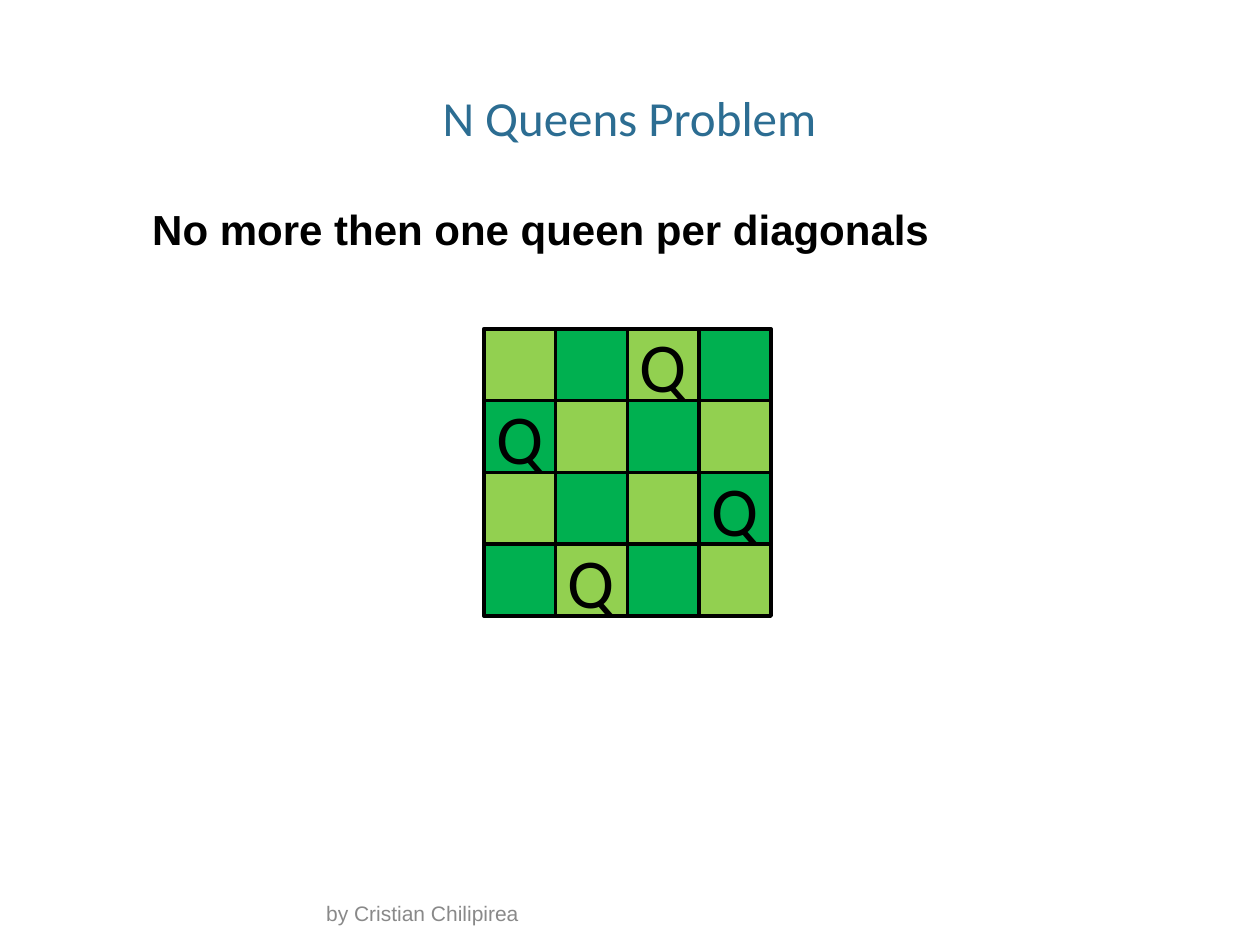
import pptx
import pptx.util
import pptx.dml.color
import pptx.enum.shapes
import pptx.enum.text

TITLE = "N Queens Problem"
RULE = "No more then one queen per diagonals"
AUTHOR = "by Cristian Chilipirea"
BOARD = ["..Q.", "Q...", "...Q", ".Q.."]
COLORS = {"title": "2C6D92", "light": "92D050", "dark": "00B050",
          "black": "000000", "gray": "898989"}
LEFT, TOP, CELL = 3.84, 2.61, 0.57

Inches, Pt = pptx.util.Inches, pptx.util.Pt
ALIGN = pptx.enum.text.PP_ALIGN
ANCHOR = pptx.enum.text.MSO_ANCHOR


def color(name):
    """Return a named colour as RGB."""
    return pptx.dml.color.RGBColor.from_string(COLORS[name])


def write(shape, text, size, font, tint, align, anchor, bold=False):
    """Put one formatted line of text into a shape."""
    frame = shape.text_frame
    frame.text = text
    frame.vertical_anchor = anchor
    line = frame.paragraphs[0]
    line.alignment = align
    face = line.runs[0].font
    face.size, face.name, face.bold = Pt(size), font, bold
    face.color.rgb = color(tint)
    return frame


def add_square(slide, row, col, mark):
    """Draw one square of the board, with its queen if it has one."""
    square = slide.shapes.add_shape(
        pptx.enum.shapes.MSO_SHAPE.RECTANGLE,
        Inches(LEFT + col * CELL), Inches(TOP + row * CELL),
        Inches(CELL), Inches(CELL))
    square.shadow.inherit = False
    square.fill.solid()
    square.fill.fore_color.rgb = color("dark" if (row + col) % 2 else "light")
    square.line.color.rgb = color("black")
    square.line.width = Pt(2)
    if mark == "Q":
        write(square, mark, 40, "Calibri", "black", ALIGN.CENTER, ANCHOR.MIDDLE)


def add_text(slide, box, *style, wrap=True, bold=False):
    """Add a text box at the given place."""
    shape = slide.shapes.add_textbox(*map(Inches, box))
    write(shape, *style, bold=bold).word_wrap = wrap
    return shape


deck = pptx.Presentation()
deck.slide_width, deck.slide_height = Inches(10), Inches(7.5)
slide = deck.slides.add_slide(deck.slide_layouts[5])

title = slide.shapes.title
title.left, title.top, title.width, title.height = map(
    Inches, (0.34, 0.68, 9.31, 0.5))
frame = write(title, TITLE, 28, "Calibri", "title", ALIGN.CENTER, ANCHOR.TOP)
frame.margin_left = frame.margin_right = 0
frame.paragraphs[0].line_spacing = 0.95

for row, marks in enumerate(BOARD):
    for col, mark in enumerate(marks):
        add_square(slide, row, col, mark)

add_text(slide, (2.49, 7.16, 5.02, 0.24), AUTHOR, 12, "Arial", "gray",
         ALIGN.LEFT, ANCHOR.BOTTOM)
rule = add_text(slide, (1.11, 1.57, 6.42, 0.5), RULE, 24, "Arial", "black",
                ALIGN.LEFT, ANCHOR.TOP, wrap=False, bold=True)
rule.text_frame.auto_size = pptx.enum.text.MSO_AUTO_SIZE.SHAPE_TO_FIT_TEXT

deck.save("out.pptx")
